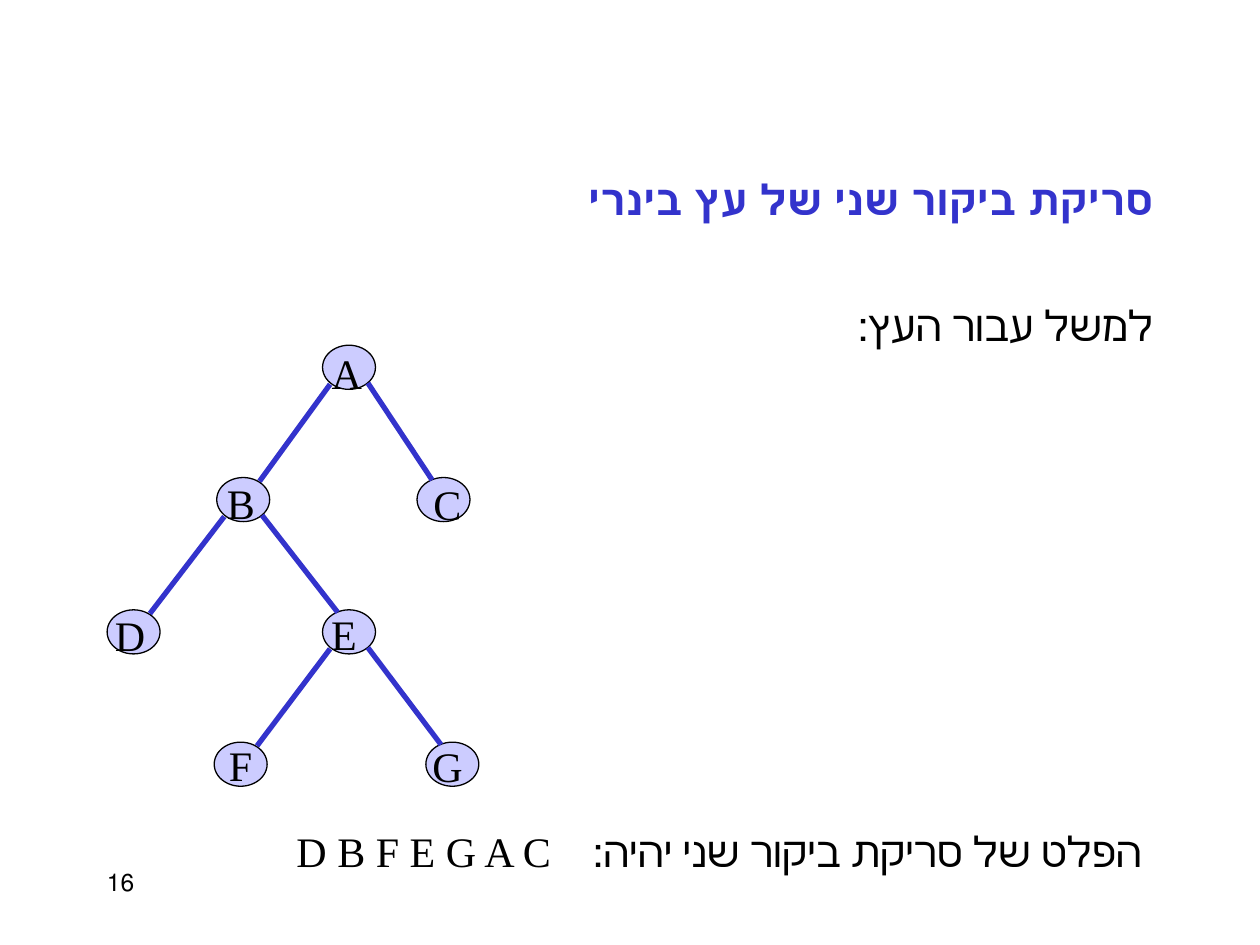
from lxml import etree
from pptx import Presentation
from pptx.dml.color import RGBColor
from pptx.enum.shapes import MSO_CONNECTOR, MSO_SHAPE
from pptx.enum.text import PP_ALIGN
from pptx.oxml.ns import qn
from pptx.util import Inches, Pt

OVAL = MSO_SHAPE.OVAL
STRAIGHT = MSO_CONNECTOR.STRAIGHT
LEFT = PP_ALIGN.LEFT
RIGHT = PP_ALIGN.RIGHT

BLUE = RGBColor(0x33, 0x33, 0xCC)
LAVENDER = RGBColor(0xCC, 0xCC, 0xFF)
BLACK = RGBColor(0, 0, 0)

NODE_WIDTH, NODE_HEIGHT = 0.42, 0.35
LEVEL_GAP = 1.05
TEXT_HEIGHT = 0.5

NODES = {
    "A": (1.71, 0, (-0.01, -0.03)),
    "B": (0.87, 1, (-0.02, -0.05)),
    "C": (2.46, 1, (0.03, -0.04)),
    "D": (0, 2, (-0.02, -0.05)),
    "E": (1.71, 2, (-0.05, -0.06)),
    "F": (0.85, 3, (-0.02, -0.07)),
    "G": (2.53, 3, (-0.03, -0.06)),
}
CHILDREN = {"A": "BC", "B": "DE", "E": "FG"}
EDGE_OFFSETS = [((0.06, 0.31), (0.34, 0.03)), ((0.36, 0.30), (0.12, 0.02))]


def add_text(shapes, box, text, alignment=RIGHT, right_to_left=True, **font_values):
    shape = shapes.add_textbox(*map(Inches, box))
    shape.text_frame.word_wrap = True
    paragraph = shape.text_frame.paragraphs[0]
    paragraph.alignment = alignment
    paragraph.space_before = Pt(15)
    paragraph._p.get_or_add_pPr().set("rtl", str(int(right_to_left)))
    run = paragraph.add_run()
    run.text = text
    run.font.color.rgb = font_values.pop("color", BLACK)
    values = {"name": "Times New Roman", "size": Pt(24), "bold": False} | font_values
    for name, value in values.items():
        setattr(run.font, name, value)


def add_node(shapes, left, top):
    node = shapes.add_shape(OVAL, *map(Inches, (left, top, NODE_WIDTH, NODE_HEIGHT)))
    node.shadow.inherit = False
    node.fill.solid()
    node.fill.fore_color.rgb = LAVENDER
    node.line.color.rgb = BLACK
    node.line.width = Pt(0.75)


def add_edge(shapes, start, end):
    edge = shapes.add_connector(STRAIGHT, *map(Inches, (*start, *end)))
    edge.line.color.rgb = BLUE
    edge.line.width = Pt(3)
    etree.SubElement(edge._element.spPr, qn("a:effectLst"))


def shift(point, offset):
    return point[0] + offset[0], point[1] + offset[1]


def add_tree(slide, origin):
    shapes = slide.shapes.add_group_shape().shapes
    positions = {
        name: shift(origin, (left, level * LEVEL_GAP))
        for name, (left, level, _) in NODES.items()
    }
    for position in positions.values():
        add_node(shapes, *position)
    for parent, children in CHILDREN.items():
        for child, (start, end) in zip(children, EDGE_OFFSETS):
            add_edge(shapes, shift(positions[parent], start), shift(positions[child], end))
    for name, (_, _, offset) in NODES.items():
        label_position = shift(positions[name], offset)
        add_text(shapes, (*label_position, NODE_WIDTH, TEXT_HEIGHT), name)


def add_heading(slide, left, top, width):
    add_text(slide.shapes, (left, top, width, TEXT_HEIGHT),
             "סריקת ביקור שני של עץ בינרי", color=BLUE, bold=True)
    intro_width = 3.08
    add_text(slide.shapes, (left + width - intro_width, top + 1, intro_width, TEXT_HEIGHT),
             "למשל עבור העץ:")


def add_result(slide, left, top, width):
    caption_width = 4.66
    values_width = width - caption_width - 0.03
    add_text(slide.shapes, (left + width - caption_width, top, caption_width, TEXT_HEIGHT),
             "הפלט של סריקת ביקור שני יהיה:")
    add_text(slide.shapes, (left, top, values_width, TEXT_HEIGHT),
             "D B F E G A C", right_to_left=False)


def add_page_number(slide, left, top, width):
    add_text(slide.shapes, (left, top, width, TEXT_HEIGHT), "16", LEFT, size=Pt(14))


def main():
    presentation = Presentation()
    presentation.slide_width = Inches(10)
    presentation.slide_height = Inches(7.5)
    slide = presentation.slides.add_slide(presentation.slide_layouts[6])
    add_tree(slide, (0.85, 2.74))
    add_result(slide, 1.08, 6.5, 8.08)
    add_heading(slide, 1.42, 1.33, 7.83)
    add_page_number(slide, 0.75, 6.83, 2.08)
    presentation.save("out.pptx")


if __name__ == "__main__":
    main()
